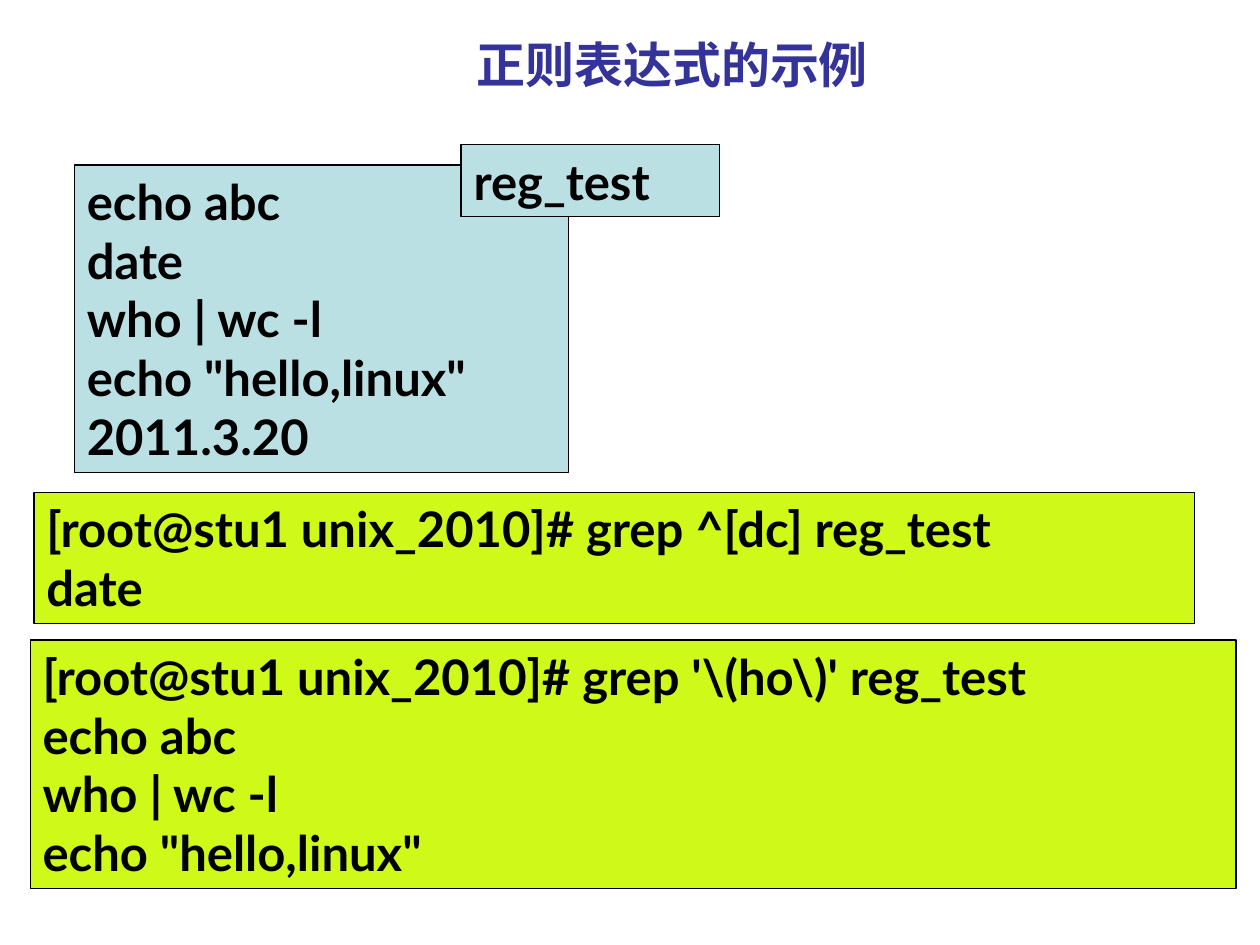
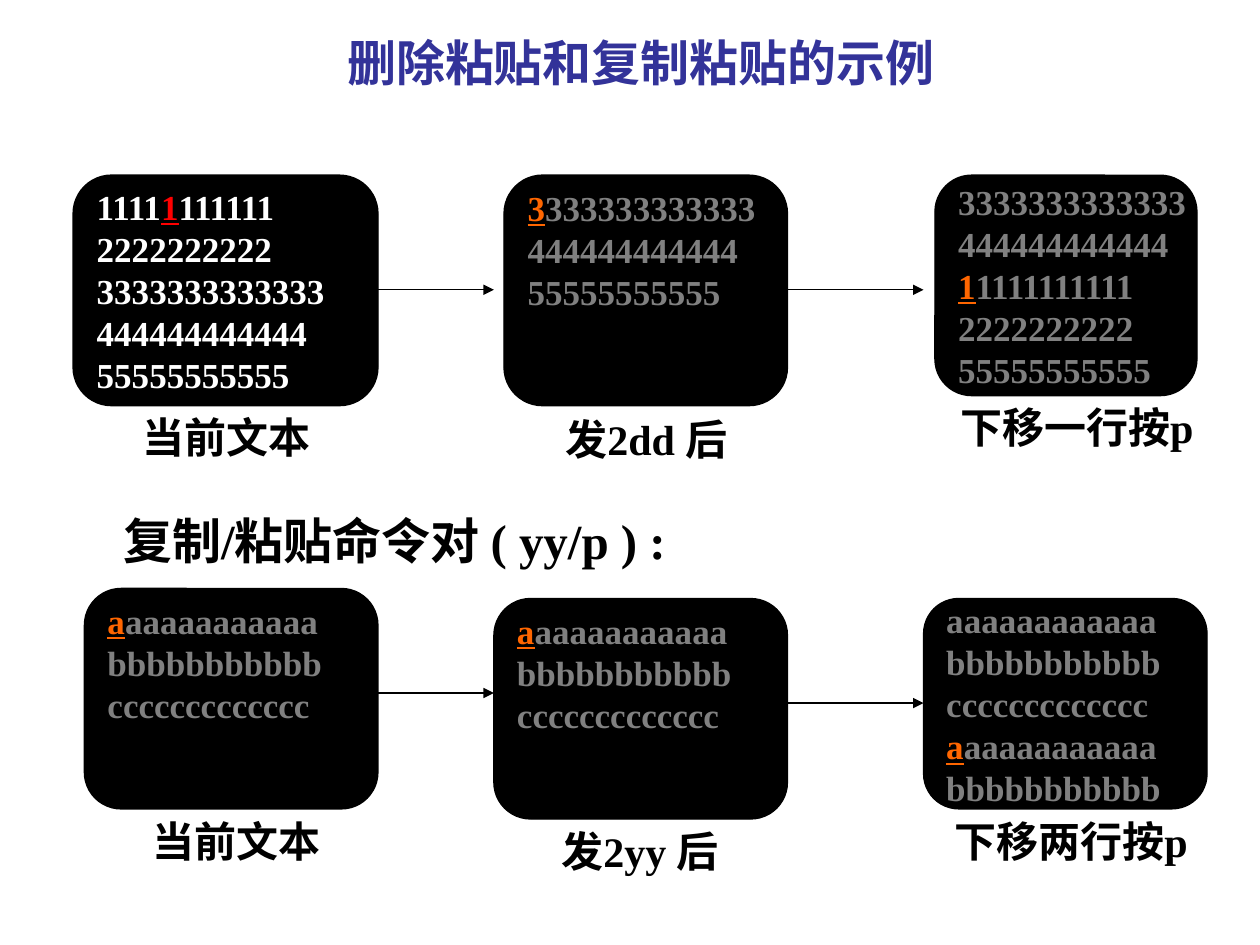
"""Build two slides: regular expression examples and vi delete/copy/paste examples."""
from lxml import etree
from pptx import Presentation
from pptx.dml.color import RGBColor
from pptx.enum.shapes import MSO_CONNECTOR, MSO_SHAPE
from pptx.enum.text import MSO_ANCHOR, PP_ALIGN
from pptx.oxml.ns import qn
from pptx.util import Inches, Pt

RECT = MSO_SHAPE.RECTANGLE
SCREEN = MSO_SHAPE.FLOWCHART_ALTERNATE_PROCESS
STRAIGHT = MSO_CONNECTOR.STRAIGHT
TOP, MIDDLE = MSO_ANCHOR.TOP, MSO_ANCHOR.MIDDLE
LEFT, CENTER = PP_ALIGN.LEFT, PP_ALIGN.CENTER

BLACK, WHITE, GRAY = "000000", "FFFFFF", "808080"
NAVY, PALE_BLUE, LIME = "333399", "BBE0E3", "CEF919"
RED, ORANGE = "FF0000", "FF6600"
SERIF, SANS = "Times New Roman", "Lato"


def rgb(color):
    return RGBColor.from_string(color)


def add_text(s, box, lines, size, color=BLACK, font=SERIF, align=LEFT, anchor=TOP,
             shape=None, fill=None, cursor=None):
    """Add bold text, in a filled shape if one is named; _x_ marks the cursor."""
    box = [Inches(v) for v in box]
    if shape is None:
        sp = s.shapes.add_textbox(*box)
    else:
        sp = s.shapes.add_shape(shape, *box)
        sp.shadow.inherit = False
        sp.fill.solid()
        sp.fill.fore_color.rgb = rgb(fill)
        sp.line.color.rgb = rgb(BLACK)
        sp.line.width = Pt(0.75)
    tf = sp.text_frame
    tf.word_wrap = shape != SCREEN
    tf.vertical_anchor = anchor
    for i, line in enumerate(lines):
        p = tf.paragraphs[0] if i == 0 else tf.add_paragraph()
        p.alignment = align
        if shape == SCREEN:
            p.line_spacing = Pt(24)
        for j, text in enumerate(line.split("_") if cursor else [line]):
            if not text:
                continue
            r = p.add_run()
            r.text = text
            r.font.name = font
            r.font.size = Pt(size)
            r.font.bold = True
            r.font.color.rgb = rgb(cursor if j % 2 else color)
            if j % 2:
                r.font.underline = True
    return sp


prs = Presentation()
prs.slide_width, prs.slide_height = Inches(10), Inches(7.5)
titles = [
    ("正则表达式的示例", (0.67, 0.21, 9.33, 0.6)),
    ("删除粘贴和复制粘贴的示例", (2.09, 0.21, 5.99, 0.56)),
]
slides = []
for title, box in titles:
    s = prs.slides.add_slide(prs.slide_layouts[6])
    add_text(s, box, [title], 28, NAVY, align=CENTER, anchor=MIDDLE)
    slides.append(s)
regex, paste = slides

code_boxes = [
    ((0.59, 1.31, 3.92, 2.44), PALE_BLUE,
     ["echo abc", "date", "who | wc -l", 'echo "hello,linux"', "2011.3.20"]),
    ((3.66, 1.15, 2.05, 0.57), PALE_BLUE, ["reg_test"]),
    ((0.27, 3.91, 9.21, 1.04), LIME,
     ["[root@stu1 unix_2010]# grep ^[dc] reg_test", "date"]),
    ((0.24, 5.08, 9.57, 1.97), LIME,
     [r"[root@stu1 unix_2010]# grep '\(ho\)' reg_test",
      "echo abc", "who | wc -l", 'echo "hello,linux"']),
]
for box, fill, lines in code_boxes:
    add_text(regex, box, lines, 28, font=SANS, shape=RECT, fill=fill)

ones, twos, threes, fours, fives = "1" * 11, "2" * 10, "3" * 13, "4" * 12, "5" * 11
a_line, b_line, c_line = "a" * 12, "b" * 11, "c" * 13
a_cursor = "_a_" + a_line[1:]
screens = [
    ((0.58, 1.39, 2.42, 1.83), WHITE, RED,
     ["1111_1_111111", twos, threes, fours, fives]),
    ((4, 1.39, 2.25, 1.83), GRAY, ORANGE, ["_3_" + threes[1:], fours, fives]),
    ((7.42, 1.39, 2.08, 1.75), GRAY, ORANGE,
     [threes, fours, "_1_" + ones[1:], twos, fives]),
    ((0.67, 4.67, 2.33, 1.75), GRAY, ORANGE, [a_cursor, b_line, c_line]),
    ((3.92, 4.75, 2.33, 1.75), GRAY, ORANGE, [a_cursor, b_line, c_line]),
    ((7.33, 4.75, 2.25, 1.67), GRAY, ORANGE,
     [a_line, b_line, c_line, a_cursor, b_line]),
]
for box, color, cursor, lines in screens:
    full = len(lines) == 5
    sp = add_text(paste, box, lines, 20, color, anchor=MIDDLE if full else TOP,
                  shape=SCREEN, fill=BLACK, cursor=cursor)
    if not full:
        sp.text_frame.margin_top = 0

captions = [
    ("当前文本", 0.67, 3.22, 2.25),
    ("发2dd 后", 3.92, 3.23, 2.42),
    ("下移一行按p", 7.42, 3.14, 2.25),
    ("当前文本", 0.75, 6.42, 2.25),
    ("发2yy 后", 3.83, 6.5, 2.5),
    ("下移两行按p", 7.25, 6.42, 2.5),
]
for text, x, y, w in captions:
    add_text(paste, (x, y, w, 0.5), [text], 24, align=CENTER)
add_text(paste, (0.88, 4, 8.45, 0.57), ["复制/粘贴命令对 ( yy/p ) :"], 28)

for x1, x2, y in [(3, 3.92, 2.3), (6.25, 7.33, 2.3), (3, 3.92, 5.5), (6.25, 7.33, 5.58)]:
    arrow = paste.shapes.add_connector(STRAIGHT, Inches(x1), Inches(y), Inches(x2), Inches(y))
    arrow.line.color.rgb = rgb(BLACK)
    arrow.line.width = Pt(0.75)
    etree.SubElement(arrow.line._get_or_add_ln(), qn("a:tailEnd"), type="triangle")
    etree.SubElement(arrow._element.spPr, qn("a:effectLst"))

prs.save("out.pptx")
